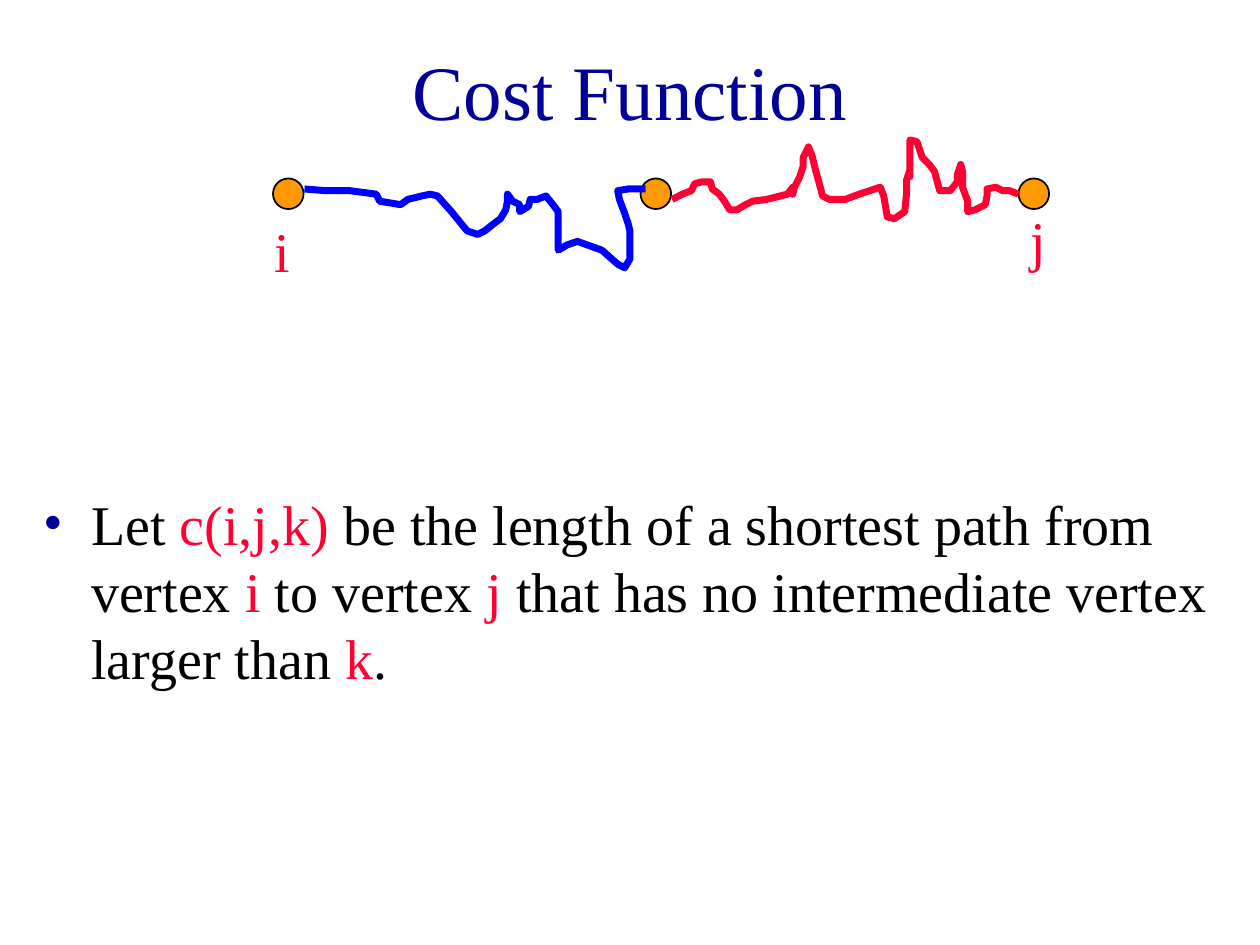
from lxml import etree
from pptx import Presentation
from pptx.dml.color import RGBColor
from pptx.enum.shapes import MSO_SHAPE
from pptx.enum.text import MSO_ANCHOR, MSO_AUTO_SIZE, PP_ALIGN
from pptx.oxml.ns import qn
from pptx.util import Pt

OVAL = MSO_SHAPE.OVAL
MIDDLE, TOP = MSO_ANCHOR.MIDDLE, MSO_ANCHOR.TOP
CENTER, LEFT = PP_ALIGN.CENTER, PP_ALIGN.LEFT
FIXED = MSO_AUTO_SIZE.NONE
FONT = "Times New Roman"
NAVY, RED, BLUE, ORANGE, BLACK = "000099", "FF0033", "0000FF", "FF9900", "000000"

# Path points, relative to the figure box
FIRST = [
    (18, 28), (30, 29), (44, 29), (59, 31), (61, 35), (73, 37), (77, 34),
    (85, 32), (90, 31), (94, 32), (102, 41), (111, 52), (117, 54), (121, 52),
    (126, 48), (130, 45), (133, 40), (134, 35), (134, 31), (137, 35),
    (141, 37), (141, 41), (146, 38), (147, 34), (151, 34), (156, 32),
    (160, 37), (163, 41), (163, 63), (168, 60), (174, 58), (188, 63),
    (197, 71), (201, 73), (204, 68), (204, 52), (203, 48), (201, 42),
    (198, 34), (197, 29), (203, 28), (213, 28),
]
SECOND = [
    (228, 34), (234, 31), (239, 29), (241, 25), (245, 24), (250, 24),
    (251, 28), (255, 31), (258, 35), (261, 40), (265, 40), (270, 37),
    (274, 35), (282, 34), (294, 31), (297, 27), (297, 31), (298, 27),
    (301, 21), (303, 15), (303, 10), (306, 4), (308, 9), (310, 17),
    (313, 28), (314, 32), (318, 34), (327, 34), (335, 31), (347, 27),
    (349, 32), (351, 44), (355, 45), (361, 41), (362, 31), (362, 23),
    (364, 17), (364, 21), (364, 0), (368, 1), (371, 10), (375, 14),
    (378, 18), (381, 29), (387, 29), (391, 24), (391, 20), (393, 14),
    (394, 18), (394, 27), (397, 35), (397, 41), (401, 40), (407, 37),
    (408, 32), (408, 28), (413, 27), (417, 29), (421, 29), (426, 31),
]


def color(code):
    return RGBColor.from_string(code)


def assign(item, values):
    for name, value in values.items():
        setattr(item, name, value)


def write(frame, parts, size, align=LEFT, anchor=TOP):
    assign(frame, {"word_wrap": True, "auto_size": FIXED, "vertical_anchor": anchor})
    para = frame.paragraphs[0]
    para.alignment = align
    for text, code in parts:
        run = para.add_run()
        run.text = text
        assign(run.font, {"name": FONT, "size": Pt(size)})
        run.font.color.rgb = color(code)
    return para


def label(slide, box, parts):
    shape = slide.shapes.add_textbox(*map(Pt, box))
    return write(shape.text_frame, parts, 32)


def outline(shape, code, width):
    shape.shadow.inherit = False
    shape.line.color.rgb = color(code)
    shape.line.width = Pt(width)


def title(slide, box):
    shape = slide.shapes.title
    sides = map(Pt, box)
    assign(shape, dict(zip(("left", "top", "width", "height"), sides)))
    write(shape.text_frame, [("Cost Function", NAVY)], 44, CENTER, MIDDLE)


def body(slide, box):
    para = label(slide, box, [
        ("Let ", BLACK), ("c(i,j,k) ", RED),
        ("be the length of a shortest path from vertex ", BLACK), ("i ", RED),
        ("to vertex ", BLACK), ("j ", RED),
        ("that has no intermediate vertex larger than ", BLACK),
        ("k", RED), (".", BLACK),
    ])
    para.space_before = Pt(8)
    # Hanging bullet
    props = para._p.get_or_add_pPr()
    props.set("marL", str(Pt(27)))
    props.set("indent", str(-Pt(27)))
    tint = etree.SubElement(props, qn("a:buClr"))
    etree.SubElement(tint, qn("a:srgbClr"), val=NAVY)
    etree.SubElement(props, qn("a:buFont"), typeface=FONT)
    etree.SubElement(props, qn("a:buChar"), char="•")


def route(slide, left, top, points, code):
    spots = [(Pt(left + x), Pt(top + y)) for x, y in points]
    pen = slide.shapes.build_freeform(*spots[0])
    pen.add_line_segments(spots[1:], close=False)
    shape = pen.convert_to_shape()
    shape.fill.background()
    outline(shape, code, 4)


def figure(slide, left, top):
    # Vertices
    for x in (0, 210, 426):
        dot = slide.shapes.add_shape(OVAL, *map(Pt, (left + x, top + 22, 17.5, 17.5)))
        dot.fill.solid()
        dot.fill.fore_color.rgb = color(ORANGE)
        outline(dot, BLACK, 1)
    # Paths between them
    route(slide, left, top, FIRST, BLUE)
    route(slide, left, top, SECOND, RED)
    # End names
    for text, x, y in (("i", -6, 40), ("j", 426, 34)):
        label(slide, (left + x, top + y, 18, 45), [(text, RED)])


def main():
    deck = Presentation()
    assign(deck, {"slide_width": Pt(720), "slide_height": Pt(540)})
    slide = deck.slides.add_slide(deck.slide_layouts[5])
    title(slide, (54, 12, 612, 78))
    body(slide, (18, 276, 702, 144))
    figure(slide, 156, 80)
    deck.save("out.pptx")


if __name__ == "__main__":
    main()
